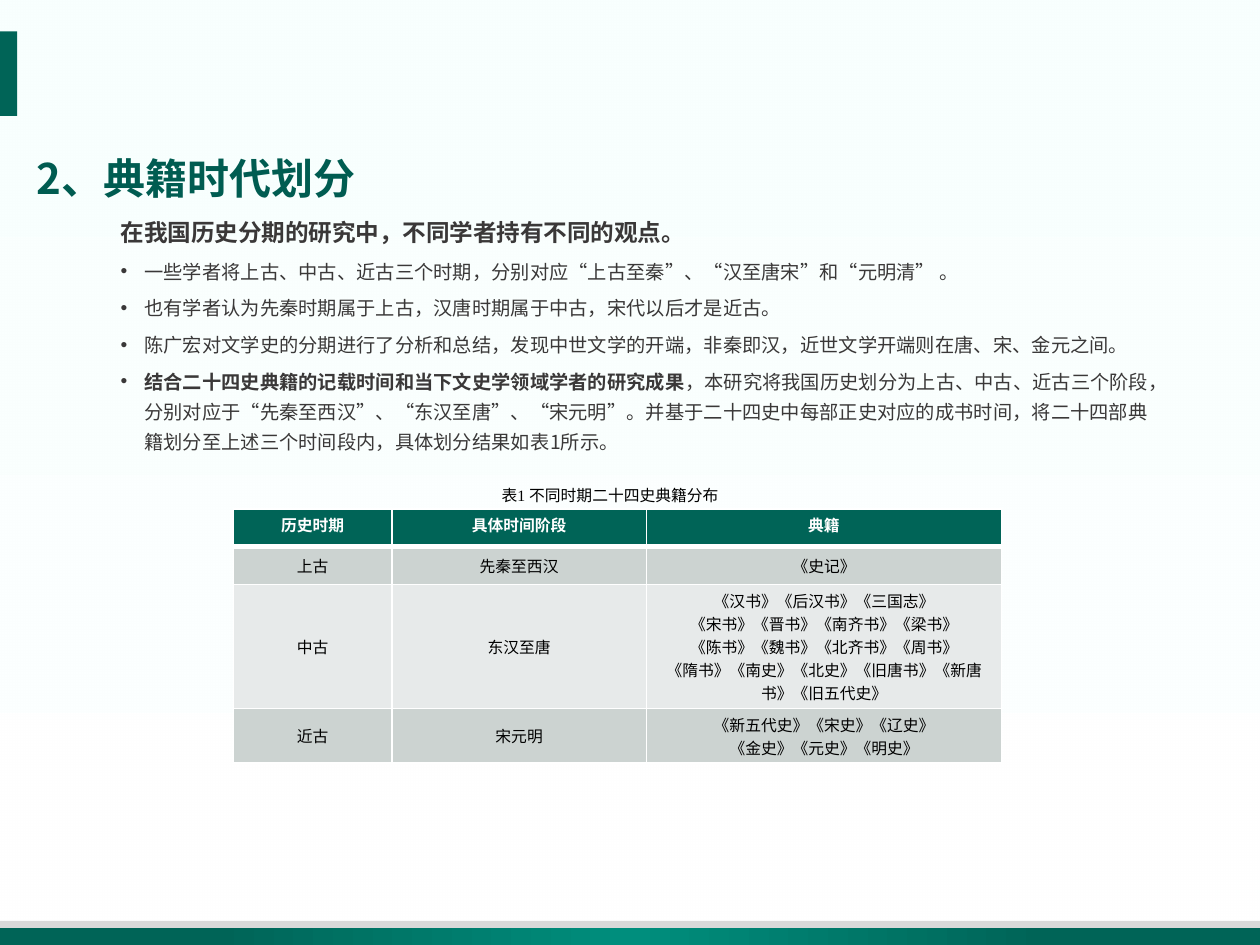
from dataclasses import dataclass

from lxml import etree
from pptx import Presentation
from pptx.dml.color import RGBColor
from pptx.enum.shapes import MSO_SHAPE
from pptx.enum.text import MSO_ANCHOR, PP_ALIGN
from pptx.oxml.ns import qn
from pptx.util import Pt

RECTANGLE = MSO_SHAPE.RECTANGLE
TOP, MIDDLE = MSO_ANCHOR.TOP, MSO_ANCHOR.MIDDLE
CENTER = PP_ALIGN.CENTER


@dataclass(frozen=True)
class Theme:
    """Colours, fonts and type sizes of the slide."""
    green: str = "006457"
    bright_green: str = "008E7D"
    title_green: str = "005C51"
    mint: str = "F7FFFE"
    white: str = "FFFFFF"
    black: str = "000000"
    text: str = "3A3838"
    rule: str = "D9D9D9"
    dark_band: str = "CCD3D1"
    light_band: str = "E7EAEA"
    sans: str = "Noto Sans CJK SC"
    header_font: str = "Calibri"
    caption_font: str = "Times New Roman"
    title_size: float = 24
    lead_size: float = 13.5
    body_size: float = 11
    table_size: float = 9


THEME = Theme()
TITLE = "2、典籍时代划分"
LEAD = "在我国历史分期的研究中，不同学者持有不同的观点。"
BULLETS = [
    [("一些学者将上古、中古、近古三个时期，分别对应“上古至秦”、“汉至唐宋”和“元明清” 。", False)],
    [("也有学者认为先秦时期属于上古，汉唐时期属于中古，宋代以后才是近古。", False)],
    [("陈广宏对文学史的分期进行了分析和总结，发现中世文学的开端，非秦即汉，"
      "近世文学开端则在唐、宋、金元之间。", False)],
    [("结合二十四史典籍的记载时间和当下文史学领域学者的研究成果", True),
     ("，本研究将我国历史划分为上古、中古、近古三个阶段，分别对应于“先秦至西汉”、“东汉至唐”、“宋元明”。"
      "并基于二十四史中每部正史对应的成书时间，将二十四部典籍划分至上述三个时间段内，"
      "具体划分结果如表1所示。", False)],
]
CAPTION = "表1 不同时期二十四史典籍分布"
PERIODS = [
    ["历史时期", "具体时间阶段", "典籍"],
    ["上古", "先秦至西汉", "《史记》"],
    ["中古", "东汉至唐", "《汉书》《后汉书》《三国志》\n《宋书》《晋书》《南齐书》《梁书》\n"
     "《陈书》《魏书》《北齐书》《周书》\n《隋书》《南史》《北史》《旧唐书》《新唐书》《旧五代史》"],
    ["近古", "宋元明", "《新五代史》《宋史》《辽史》\n《金史》《元史》《明史》"],
]
COLUMN_WIDTHS = [90.5, 145.5, 203]
ROW_HEIGHTS = [21.6, 21.6, 71, 31]


def apply_format(target, values):
    """Set each named attribute of the target."""
    for name, value in values.items():
        setattr(target, name, value)


def add_rectangle(slide, left, top, width, height, color=None):
    """Add a borderless rectangle, filled when a colour is given."""
    shape = slide.shapes.add_shape(RECTANGLE, Pt(left), Pt(top), Pt(width), Pt(height))
    shape.shadow.inherit = False
    shape.line.fill.background()
    if color:
        shape.fill.solid()
        shape.fill.fore_color.rgb = RGBColor.from_string(color)
    return shape


def fill_gradient(shape, angle, stops):
    """Fill a shape with (position, colour, opacity) stops in percent."""
    shape.fill.gradient()
    shape.fill.gradient_angle = angle
    stop_list = shape.element.spPr.find(".//" + qn("a:gsLst"))
    stop_list.clear()
    for position, color, opacity in stops:
        stop = etree.SubElement(stop_list, qn("a:gs"), pos=str(position * 1000))
        tint = etree.SubElement(stop, qn("a:srgbClr"), val=color)
        if opacity < 100:
            etree.SubElement(tint, qn("a:alpha"), val=str(opacity * 1000))


def add_run(paragraph, text, size, color, bold=False, font=THEME.sans):
    """Add a run with its Latin and East Asian fonts."""
    run = paragraph.add_run()
    run.text = text
    apply_format(run.font, {"size": Pt(size), "bold": bold, "name": font})
    run.font.color.rgb = RGBColor.from_string(color)
    east_asian = etree.Element(qn("a:ea"), typeface=THEME.sans)
    run.font._element.find(qn("a:latin")).addnext(east_asian)


def add_text_frame(slide, left, top, width, height, anchor=TOP):
    """Add a wrapping text box and return its frame."""
    box = slide.shapes.add_textbox(Pt(left), Pt(top), Pt(width), Pt(height))
    apply_format(box.text_frame, {"word_wrap": True, "vertical_anchor": anchor})
    return box.text_frame


def indent(paragraph, margin, first_line=0, bullet=None):
    """Set the indents of a paragraph and its optional bullet."""
    properties = paragraph._p.get_or_add_pPr()
    properties.set("marL", str(Pt(margin)))
    properties.set("indent", str(Pt(first_line)))
    if bullet:
        etree.SubElement(properties, qn("a:buFont"), typeface="Arial")
        etree.SubElement(properties, qn("a:buChar"), char=bullet)


def add_background(slide):
    """Draw the tinted backdrop, the footer bands and the side tab."""
    backdrop = add_rectangle(slide, -3, 0, 723, 543)
    fill_gradient(backdrop, 270, [(0, THEME.mint, 83), (100, THEME.white, 90)])
    add_rectangle(slide, 0, 526.2, 720, 5, THEME.rule)
    footer = add_rectangle(slide, 0, 530.3, 720, 13.7)
    fill_gradient(footer, 0, [(17, THEME.green, 100), (50, THEME.bright_green, 100),
                              (83, THEME.green, 100)])
    add_rectangle(slide, -3, 18, 12.8, 48.3, THEME.green)


def add_title(slide):
    """Add the slide title."""
    paragraph = add_text_frame(slide, 13.7, 86.7, 197.3, 33, MIDDLE).paragraphs[0]
    paragraph.line_spacing = 0.9
    add_run(paragraph, TITLE, THEME.title_size, THEME.title_green, True)


def add_body(slide):
    """Add the lead sentence and the bullets."""
    frame = add_text_frame(slide, 35.3, 121, 636.5, 143.3)
    lead = frame.paragraphs[0]
    indent(lead, 26.6)
    add_run(lead, LEAD, THEME.lead_size, THEME.text, True)
    for parts in BULLETS:
        paragraph = frame.add_paragraph()
        indent(paragraph, 40.1, -13.5, "•")
        apply_format(paragraph, {"line_spacing": 1.3, "space_before": Pt(3.8)})
        for text, bold in parts:
            add_run(paragraph, text, THEME.body_size, THEME.text, bold)


def set_borders(cell, widths):
    """Draw white borders with the given widths by side."""
    properties = cell._tc.get_or_add_tcPr()
    for index, (side, width) in enumerate(widths.items()):
        line = etree.Element(qn(f"a:ln{side}"), w=str(Pt(width)))
        properties.insert(index, line)
        fill = etree.SubElement(line, qn("a:solidFill"))
        etree.SubElement(fill, qn("a:srgbClr"), val=THEME.white)


def fill_cell(cell, text, row_index):
    """Write and colour one table cell."""
    header = row_index == 0
    apply_format(cell, {"margin_left": Pt(5), "margin_right": Pt(5), "margin_top": Pt(2.7),
                        "margin_bottom": Pt(2.7), "vertical_anchor": TOP if header else MIDDLE})
    band = THEME.dark_band if row_index % 2 else THEME.light_band
    cell.fill.solid()
    cell.fill.fore_color.rgb = RGBColor.from_string(THEME.green if header else band)
    set_borders(cell, {"L": 1, "R": 1, "T": 3 if row_index == 1 else 1, "B": 3 if header else 1})
    for index, line in enumerate(text.split("\n")):
        frame = cell.text_frame
        paragraph = frame.add_paragraph() if index else frame.paragraphs[0]
        paragraph.alignment = CENTER
        add_run(paragraph, line, THEME.table_size, THEME.white if header else THEME.black,
                header, THEME.header_font if header else THEME.sans)


def add_period_table(slide):
    """Add the table of periods and its books."""
    table = slide.shapes.add_table(len(PERIODS), len(COLUMN_WIDTHS), Pt(133.4), Pt(290.8),
                                   Pt(sum(COLUMN_WIDTHS)), Pt(sum(ROW_HEIGHTS))).table
    for column, width in zip(table.columns, COLUMN_WIDTHS):
        column.width = Pt(width)
    for row_index, (row, height) in enumerate(zip(table.rows, ROW_HEIGHTS)):
        row.height = Pt(height)
        for cell, text in zip(row.cells, PERIODS[row_index]):
            fill_cell(cell, text, row_index)


def add_caption(slide):
    """Add the table caption."""
    paragraph = add_text_frame(slide, 167.8, 270, 361.4, 20.9).paragraphs[0]
    apply_format(paragraph, {"alignment": CENTER, "line_spacing": Pt(15)})
    add_run(paragraph, CAPTION, THEME.table_size, THEME.black, font=THEME.caption_font)


def main():
    """Build and save the slide."""
    presentation = Presentation()
    apply_format(presentation, {"slide_width": Pt(720), "slide_height": Pt(540)})
    slide = presentation.slides.add_slide(presentation.slide_layouts[6])
    for add_part in (add_background, add_title, add_body, add_period_table, add_caption):
        add_part(slide)
    presentation.save("out.pptx")


if __name__ == "__main__":
    main()
